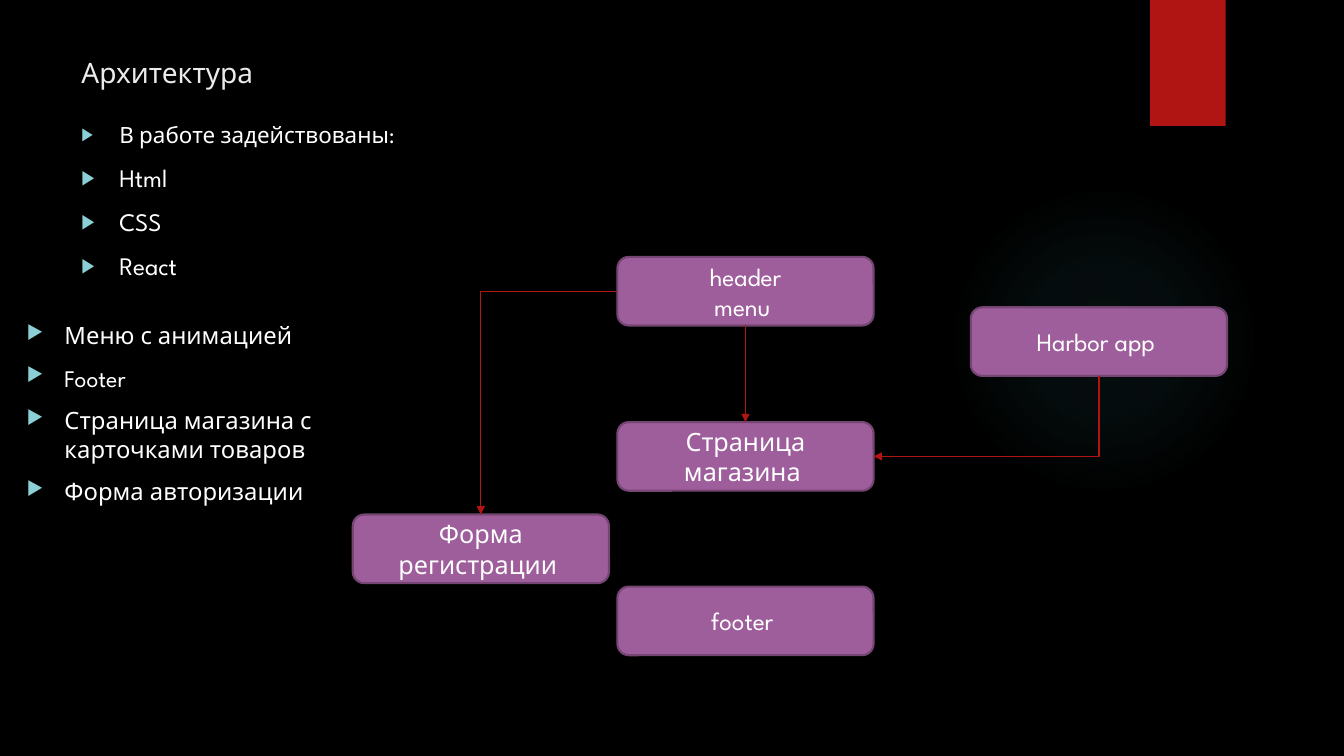
from lxml.etree import SubElement
from pptx import Presentation
from pptx.dml.color import RGBColor
from pptx.enum.shapes import MSO_CONNECTOR as Connector, MSO_SHAPE as Preset
from pptx.enum.text import MSO_ANCHOR as Anchor, MSO_AUTO_SIZE as AutoSize, PP_ALIGN as Align
from pptx.oxml import parse_xml
from pptx.oxml.ns import nsdecls, qn
from pptx.util import Pt

BLACK = RGBColor(0x00, 0x00, 0x00)
WHITE = RGBColor(0xFF, 0xFF, 0xFF)
TITLE_GREY = RGBColor(0xEB, 0xEB, 0xEB)
RED = RGBColor(0xB0, 0x15, 0x13)
PURPLE = RGBColor(0x9E, 0x5E, 0x9B)
DARK_PURPLE = RGBColor(0x75, 0x46, 0x73)
BULLET_BLUE = RGBColor(0x8A, 0xD0, 0xD6)
GLOW = RGBColor(0x50, 0xB9, 0xC1)

BOX_SIZE = (183, 49)
LIST_SIZE = (268, 125)
LIST_INDENT = 27
TOP, LEFT, BOTTOM, RIGHT = range(4)


def points(*lengths):
    return [Pt(length) for length in lengths]


def apply(target, values):
    for name, value in values.items():
        setattr(target, name, value)


class SlideBuilder:
    font = "League Spartan"

    def __init__(self, slide):
        self.slide = slide
        self.shapes = slide.shapes
        slide.background.fill.solid()
        slide.background.fill.fore_color.rgb = BLACK

    def fill_text(self, frame, lines, size, color=WHITE, **paragraph_format):
        """Fill a text frame; each line is a string or a (string, size) pair."""
        apply(frame, {"word_wrap": True, "auto_size": AutoSize.NONE})
        for index, line in enumerate(lines):
            text, line_size = line if isinstance(line, tuple) else (line, size)
            paragraph = frame.paragraphs[0] if index == 0 else frame.add_paragraph()
            apply(paragraph, paragraph_format)
            run = paragraph.add_run()
            run.text = text
            apply(run.font, {"name": self.font, "size": Pt(line_size)})
            run.font.color.rgb = color

    def place(self, shape, left, top, width, height):
        apply(shape, dict(zip(("left", "top", "width", "height"),
                              points(left, top, width, height))))

    def title(self, text, *area):
        title = self.shapes.title
        self.place(title, *area)
        title.text_frame.vertical_anchor = Anchor.TOP
        self.fill_text(title.text_frame, [text], 20, TITLE_GREY, alignment=Align.LEFT)

    def bullets(self, shape, lines, size):
        frame = shape.text_frame
        frame.vertical_anchor = Anchor.TOP
        self.fill_text(frame, lines, size, space_before=Pt(10), alignment=Align.LEFT)
        for paragraph in frame.paragraphs:
            properties = paragraph._p.get_or_add_pPr()
            properties.set("marL", str(Pt(LIST_INDENT)))
            properties.set("indent", str(-Pt(LIST_INDENT)))
            color = SubElement(properties, qn("a:buClr"))
            SubElement(color, qn("a:srgbClr"), val=str(BULLET_BLUE))
            SubElement(properties, qn("a:buSzPct"), val="80000")
            SubElement(properties, qn("a:buChar"), char="▶")

    def body_list(self, lines, size, left, top):
        body = self.slide.placeholders[1]
        self.place(body, left, top, *LIST_SIZE)
        self.bullets(body, lines, size)

    def text_list(self, lines, size, left, top):
        self.bullets(self.shapes.add_textbox(*points(left, top, *LIST_SIZE)), lines, size)

    def plain_shape(self, preset, color, *area):
        shape = self.shapes.add_shape(preset, *points(*area))
        shape.shadow.inherit = False
        shape.fill.solid()
        shape.fill.fore_color.rgb = color
        shape.line.fill.background()
        return shape

    def glow(self, *area):
        """Add an ellipse whose colour fades out from the centre."""
        shape = self.plain_shape(Preset.OVAL, GLOW, *area)
        stops = "".join(
            f'<a:gs pos="{position}000"><a:srgbClr val="{GLOW}">'
            f'<a:alpha val="{alpha}000"/></a:srgbClr></a:gs>'
            for position, alpha in ((0, 7), (36, 6), (69, 0)))
        gradient = parse_xml(
            f'<a:gradFill {nsdecls("a")}><a:gsLst>{stops}</a:gsLst><a:path path="circle">'
            '<a:fillToRect l="50000" t="50000" r="50000" b="50000"/></a:path></a:gradFill>')
        properties = shape._element.spPr
        properties.replace(properties.find(qn("a:solidFill")), gradient)

    def box(self, lines, left, top):
        shape = self.plain_shape(Preset.ROUNDED_RECTANGLE, PURPLE, left, top, *BOX_SIZE)
        shape.line.color.rgb = DARK_PURPLE
        shape.line.width = Pt(1.5)
        shape.text_frame.vertical_anchor = Anchor.MIDDLE
        self.fill_text(shape.text_frame, lines, 18, alignment=Align.CENTER)
        return shape

    def arrow(self, source, source_side, target, target_side, kind=Connector.STRAIGHT):
        connector = self.shapes.add_connector(kind, 0, 0, 0, 0)
        connector.begin_connect(source, source_side)
        connector.end_connect(target, target_side)
        connector.line.color.rgb = RED
        connector.line.width = Pt(0.75)
        line_properties = connector._element.spPr.find(qn("a:ln"))
        SubElement(line_properties, qn("a:tailEnd"), type="triangle")
        SubElement(connector._element.spPr, qn("a:effectLst"))
        return connector

    def corner_arrow(self, *ends):
        """Arrow with one bend that leaves its source sideways."""
        connector = self.arrow(*ends, kind=Connector.ELBOW)
        connector._element.spPr.find(qn("a:prstGeom")).set("prst", "bentConnector2")
        return connector

    def down_left_arrow(self, *ends):
        """Corner arrow turned by 90 degrees: first down, then to the left."""
        connector = self.corner_arrow(*ends)
        width, height = connector.width, connector.height
        shift = (width - height) // 2
        apply(connector, {"left": connector.left + shift, "top": connector.top - shift,
                          "width": height, "height": width})
        transform = connector._element.spPr.find(qn("a:xfrm"))
        transform.attrib.pop("flipH", None)
        transform.set("rot", "5400000")


def main():
    presentation = Presentation()
    apply(presentation, {"slide_width": Pt(960), "slide_height": Pt(540)})
    builder = SlideBuilder(presentation.slides.add_slide(presentation.slide_layouts[1]))

    builder.glow(677.5, 132, 222, 222)
    builder.plain_shape(Preset.RECTANGLE, RED, 821.5, 0, 54, 90)
    builder.title("Архитектура", 51, 36, 741, 110)
    builder.body_list([("В работе задействованы:", 16), "Html", "CSS", "React"], 18, 51, 83)
    builder.text_list(["Меню с анимацией", "Footer", "Страница магазина с карточками товаров",
                       "Форма авторизации"], 17, 12, 225.5)

    server = builder.box(["Harbor app "], 693.5, 219.5)
    builder.box(["footer "], 441, 419)
    header = builder.box(["header", "menu "], 441, 183.5)
    shop = builder.box(["Страница магазина "], 441, 301.5)
    registration = builder.box(["Форма", "регистрации "], 252, 367.5)

    builder.down_left_arrow(server, BOTTOM, shop, RIGHT)
    builder.arrow(header, BOTTOM, shop, TOP)
    builder.corner_arrow(header, LEFT, registration, TOP)

    presentation.save("out.pptx")


if __name__ == "__main__":
    main()
